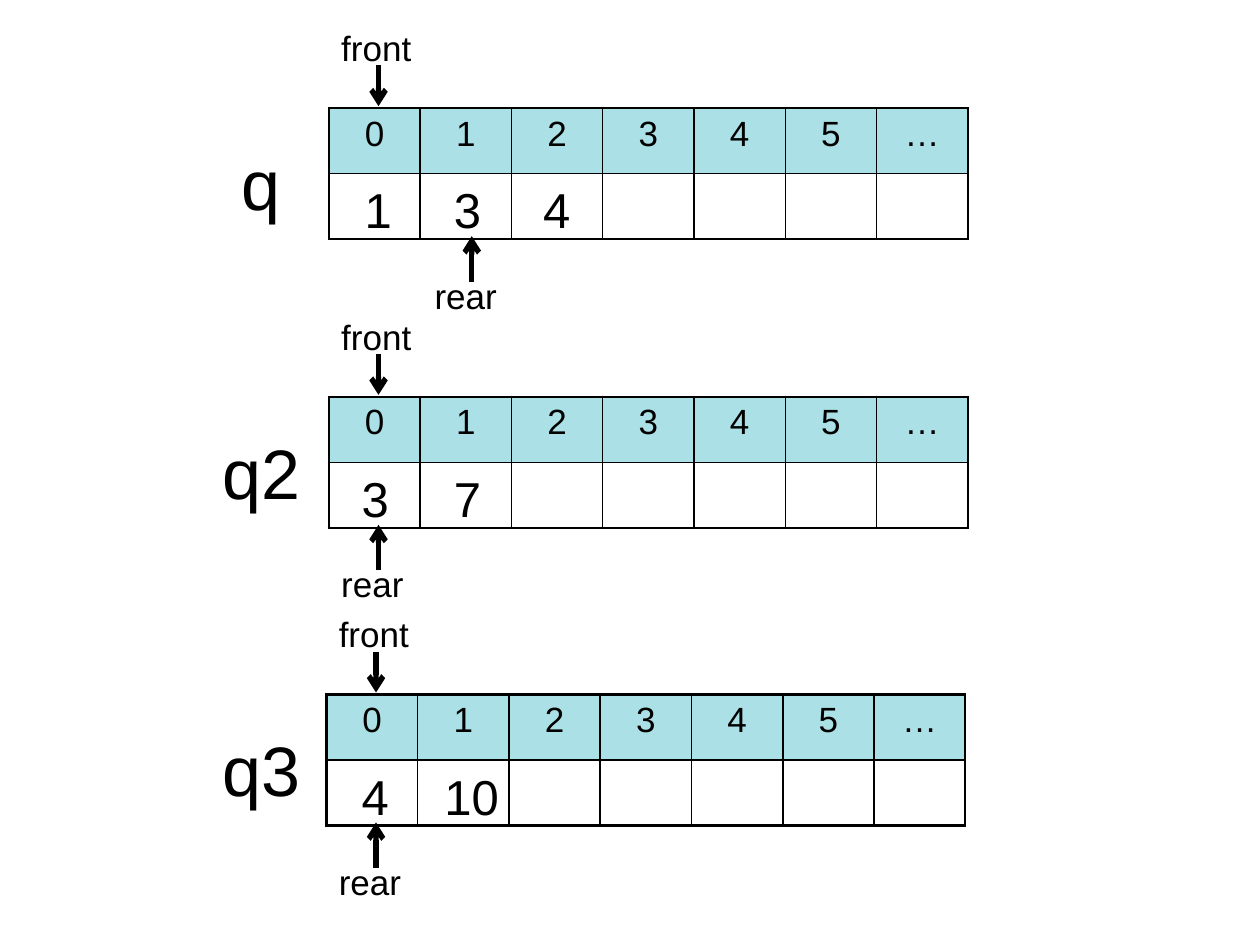
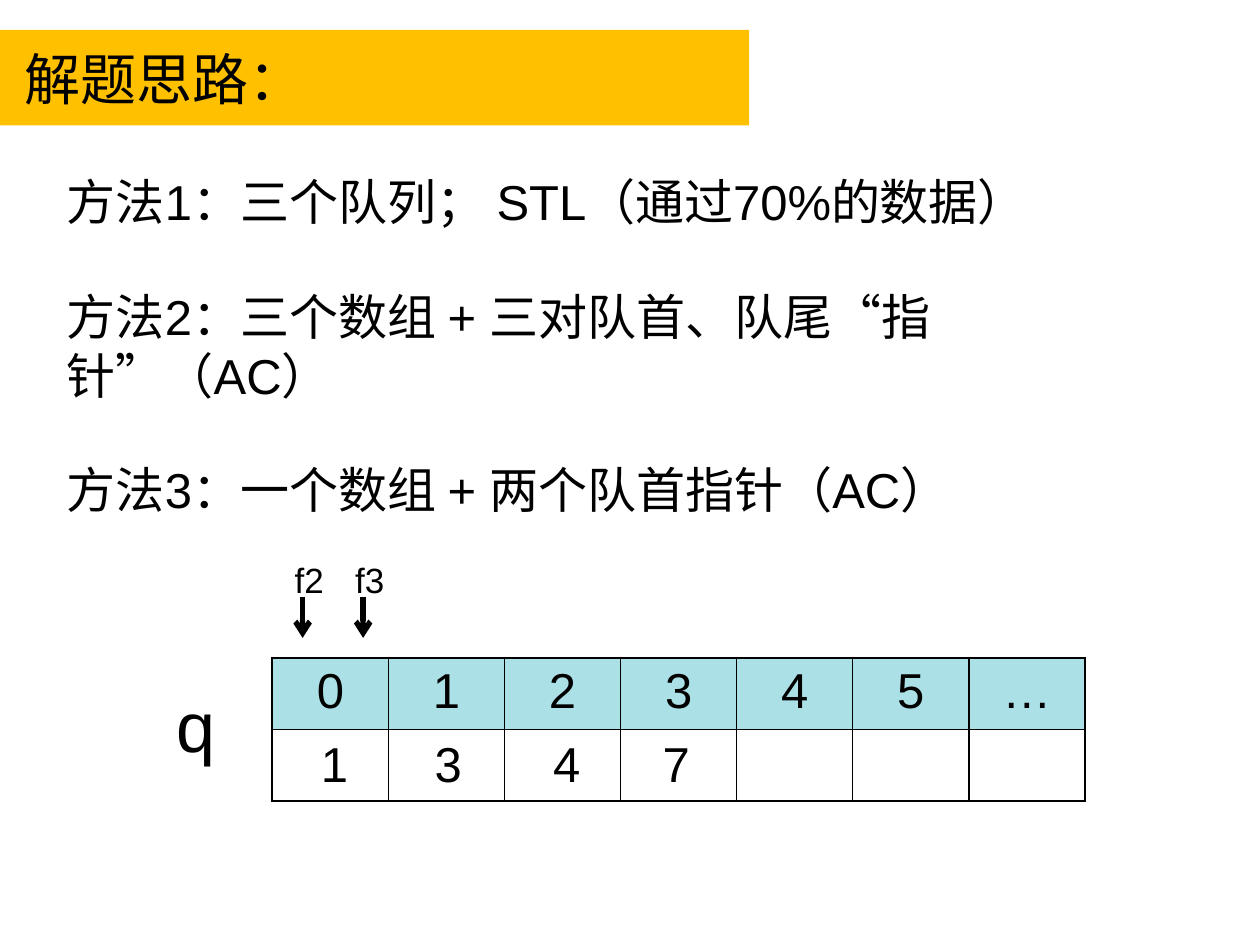
from dataclasses import dataclass

from lxml.etree import SubElement
from pptx import Presentation
from pptx.dml.color import RGBColor
from pptx.enum.lang import MSO_LANGUAGE_ID
from pptx.enum.shapes import MSO_CONNECTOR
from pptx.enum.text import MSO_ANCHOR, MSO_AUTO_SIZE, PP_ALIGN
from pptx.oxml import parse_xml
from pptx.oxml.ns import nsdecls, qn
from pptx.util import Cm, Pt


@dataclass(frozen=True)
class Theme:
    ink: str = "000000"
    paper: str = "FFFFFF"
    head: str = "28B2C0"
    band: str = "FFC000"
    latin: str = "Arial"
    asian: str = "Noto Sans CJK SC"
    small: int = 20
    body: int = 28
    title: int = 32
    name: int = 40
    thin: float = 1
    frame: float = 1.5
    arrow: float = 3


THEME = Theme()
INDEX = ["0", "1", "2", "3", "4", "5", "…"]
DIGIT = 1.06  # width of a box with one digit


def style(frame, size, latin=THEME.latin):
    """Give every run the deck's font, size and colour."""
    for para in frame.paragraphs:
        for run in para.runs:
            font = run.font
            font.name, font.size = latin, Pt(size)
            font.color.rgb = RGBColor.from_string(THEME.ink)
            font.language_id = MSO_LANGUAGE_ID.SIMPLIFIED_CHINESE
            east = SubElement(run._r.get_or_add_rPr(), qn("a:ea"))
            east.set("typeface", THEME.asian)


def add_label(shapes, text, left, top, width, size):
    """Add one line of text in a box that fits it."""
    box = shapes.add_textbox(Cm(left), Cm(top), Cm(width), Pt(size * 1.15 + 7.2))
    frame = box.text_frame
    frame.text = text
    frame.word_wrap = False
    frame.auto_size = MSO_AUTO_SIZE.SHAPE_TO_FIT_TEXT
    style(frame, size)


def add_arrow(shapes, x, start, end):
    line = shapes.add_connector(MSO_CONNECTOR.STRAIGHT, Cm(x), Cm(start), Cm(x), Cm(end))
    line.line.color.rgb = RGBColor.from_string(THEME.ink)
    line.line.width = Pt(THEME.arrow)
    SubElement(line.line._get_or_add_ln(), qn("a:tailEnd")).set("type", "arrow")
    SubElement(line._element.spPr, qn("a:effectLst"))


def add_marker(slide, text, left, top, width, inset, down=True):
    """Group a label with the arrow below it, or above it if not down."""
    shapes = slide.shapes.add_group_shape().shapes
    add_label(shapes, text, left, top, width, THEME.small)
    start, end = (0.91, 1.73) if down else (0.28, -0.64)
    add_arrow(shapes, left + inset, top + start, top + end)


def set_edges(cell, widths):
    """Draw the left, right, top and bottom edges, in that order."""
    props = cell._tc.get_or_add_tcPr()
    for place, (side, width) in enumerate(zip("LRTB", widths)):
        props.insert(place, parse_xml(
            f'<a:ln{side} {nsdecls("a")} w="{Pt(width)}"><a:solidFill>'
            f'<a:srgbClr val="{THEME.ink}"/></a:solidFill></a:ln{side}>'))


def add_array(slide, left, top, wide, high, size):
    """Add an index row above an empty row of cells."""
    count = len(INDEX)
    table = slide.shapes.add_table(2, count, Cm(left), Cm(top),
                                   Cm(wide * count), Cm(high * 2)).table
    table.first_row = table.horz_banding = False
    for row in range(2):
        table.rows[row].height = Cm(high)
        for col, text in enumerate(INDEX):
            table.columns[col].width = Cm(wide)
            cell = table.cell(row, col)
            cell.fill.solid()
            cell.fill.fore_color.rgb = RGBColor.from_string(THEME.paper if row else THEME.head)
            if row == 0:
                tint = cell._tc.tcPr.find(".//" + qn("a:srgbClr"))
                SubElement(tint, qn("a:alpha")).set("val", "39000")
                cell.text_frame.text = text
                cell.text_frame.paragraphs[0].alignment = PP_ALIGN.CENTER
                style(cell.text_frame, size)
            outer = (col == 0, col == count - 1, row == 0, row == 1)
            set_edges(cell, [THEME.frame if edge else THEME.thin for edge in outer])


def add_values(slide, values, top):
    """Place (text, left) pairs in the lower row of an array."""
    for text, left in values:
        width = DIGIT if len(text) == 1 else 1.62
        add_label(slide.shapes, text, left, top, width, THEME.body)


def add_queue(slide, name, left, top, name_left, rear, values):
    """Add a named array with its front and rear markers."""
    add_array(slide, left, top, 1.84, 1.32, THEME.small)
    add_marker(slide, "front", left, top - 1.77, 1.93, 1)
    add_marker(slide, "rear", rear, top + 3.22, 1.78, 1, down=False)
    add_label(slide.shapes, name, name_left, top + 0.53, 0.5 + 0.8 * len(name), THEME.name)
    add_values(slide, values, top + 1.32)


def set_title(slide, text):
    """Turn the title into a filled band."""
    title = slide.shapes.title
    title.left, title.top, title.width, title.height = Cm(0), Cm(0.6), Cm(15.1), Cm(1.93)
    title.fill.solid()
    title.fill.fore_color.rgb = RGBColor.from_string(THEME.band)
    frame = title.text_frame
    frame.text = text
    frame.margin_left = Cm(0.5)
    frame.vertical_anchor = MSO_ANCHOR.MIDDLE
    frame.paragraphs[0].alignment = PP_ALIGN.LEFT
    style(frame, THEME.title, THEME.asian)


def add_body(slide, lines):
    frame = slide.shapes.add_textbox(Cm(1.1), Cm(3.33), Cm(22.4), Cm(7.44)).text_frame
    frame.word_wrap = True
    frame.text = "\n".join(lines)
    for para in frame.paragraphs[1:]:
        para.space_before = Pt(32)
    style(frame, THEME.body)


def add_queues(deck):
    """Slide 1: three queues."""
    slide = deck.slides.add_slide(deck.slide_layouts[6])
    add_queue(slide, "q", 6.63, 2.18, 4.62, 8.51, [("1", 7.1), ("3", 8.9), ("4", 10.7)])
    add_queue(slide, "q2", 6.63, 8, 4.24, 6.63, [("3", 7.04), ("7", 8.9)])
    add_queue(slide, "q3", 6.58, 14, 4.24, 6.58, [("4", 7.04), ("10", 8.71)])


def add_ideas(deck):
    """Slide 2: three methods and one shared array."""
    slide = deck.slides.add_slide(deck.slide_layouts[5])
    set_title(slide, "解题思路：")
    add_body(slide, [
        "方法1：三个队列； STL（通过70%的数据）",
        "方法2：三个数组 + 三对队首、队尾“指针”（AC）",
        "方法3：一个数组 + 两个队首指针（AC）",
    ])
    add_array(slide, 5.49, 13.26, 2.34, 1.44, THEME.body)
    add_label(slide.shapes, "q", 3.3, 13.64, 1.3, THEME.name)
    add_values(slide, [("1", 6.22), ("3", 8.51), ("4", 10.9), ("7", 13.11)], 14.66)
    for text, left in (("f2", 5.69), ("f3", 6.91)):
        add_marker(slide, text, left, 11.13, 1.11, 0.41)


def main():
    deck = Presentation()
    deck.slide_width, deck.slide_height = Cm(25.4), Cm(19.05)
    add_queues(deck)
    add_ideas(deck)
    deck.save("out.pptx")


if __name__ == "__main__":
    main()
